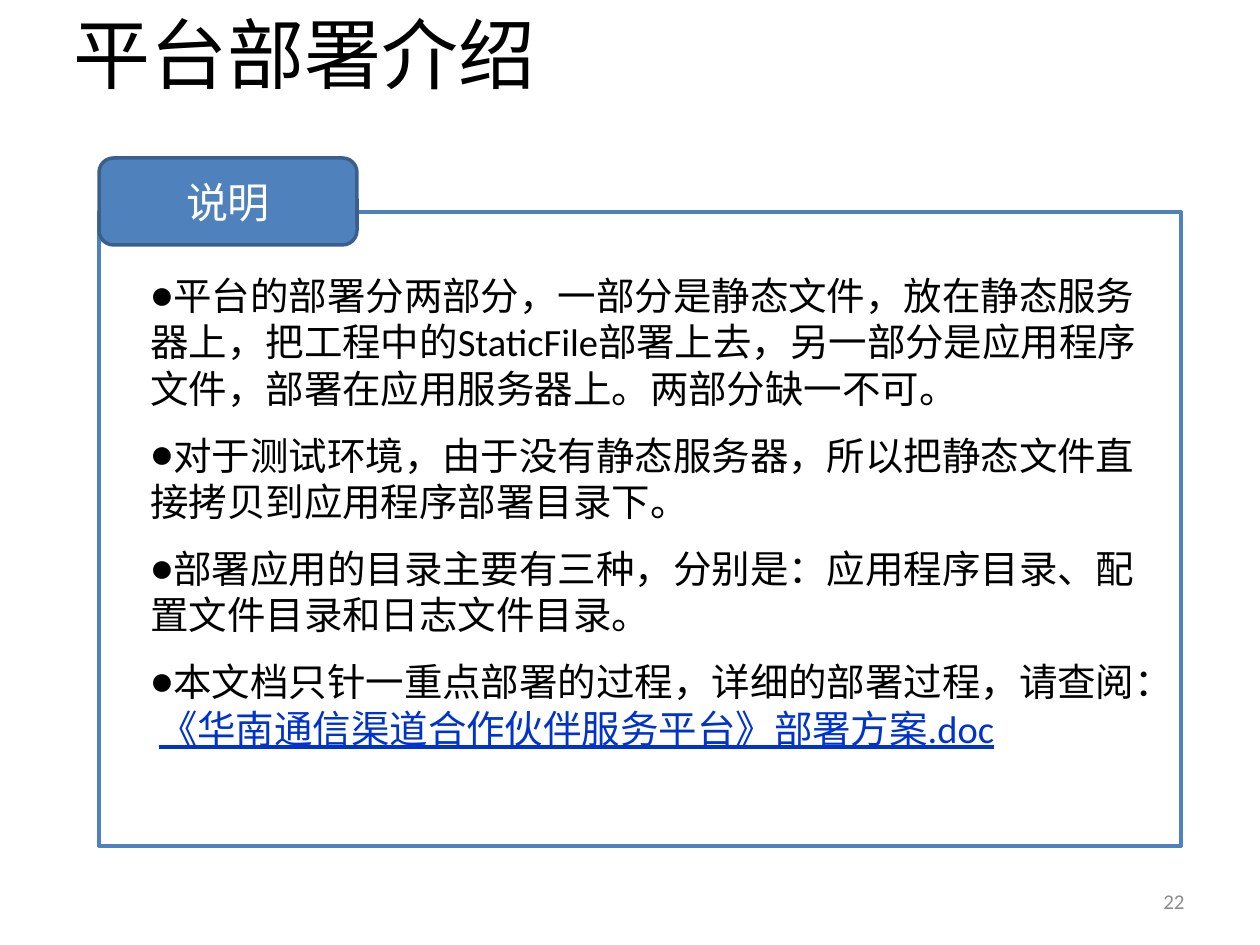
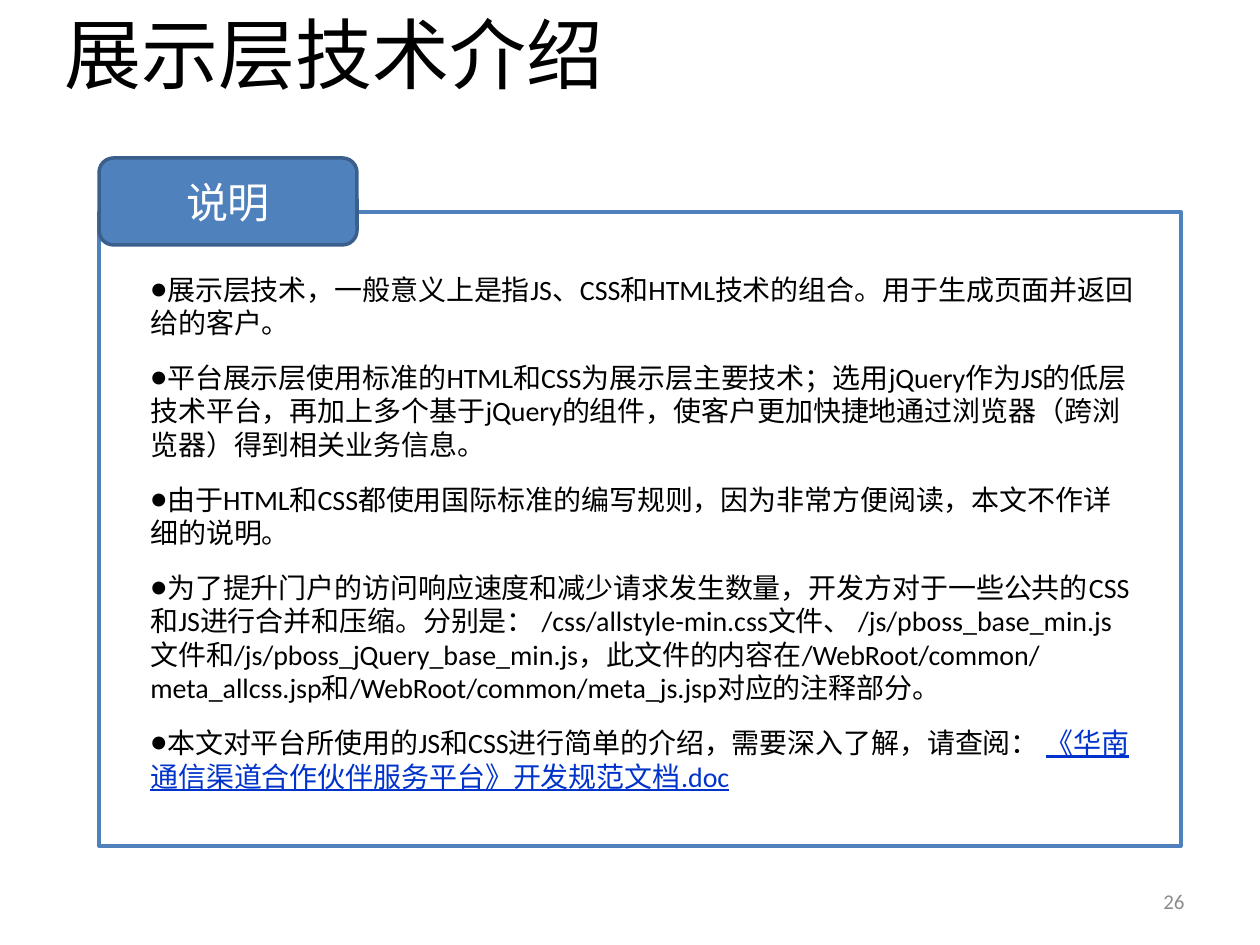
from lxml.etree import SubElement
from pptx import Presentation
from pptx.dml.color import RGBColor
from pptx.enum.shapes import MSO_SHAPE as Shape
from pptx.enum.text import MSO_ANCHOR as Anchor, MSO_AUTO_SIZE as AutoSize, PP_ALIGN as Align
from pptx.oxml.ns import qn
from pptx.util import Emu, Pt

PIXEL = 914400 // 126
BLUE, DARK_BLUE, LINK_BLUE = "4F81BD", "3A5F8C", "0033CC"
BLACK, WHITE, GREY = "000000", "FFFFFF", "8C8C8C"
BODY_FONT, TITLE_FONT = "Calibri", "Noto Sans CJK SC"

DEPLOYMENT = [
    ["平台的部署分两部分，一部分是静态文件，放在静态服务器上，把工程中的StaticFile部署上去，"
     "另一部分是应用程序文件，部署在应用服务器上。两部分缺一不可。"],
    ["对于测试环境，由于没有静态服务器，所以把静态文件直接拷贝到应用程序部署目录下。"],
    ["部署应用的目录主要有三种，分别是：应用程序目录、配置文件目录和日志文件目录。"],
    ["本文档只针一重点部署的过程，详细的部署过程，请查阅： ",
     "《华南通信渠道合作伙伴服务平台》部署方案.doc"],
]
PRESENTATION_LAYER = [
    ["展示层技术，一般意义上是指JS、CSS和HTML技术的组合。用于生成页面并返回给的客户。"],
    ["平台展示层使用标准的HTML和CSS为展示层主要技术；选用jQuery作为JS的低层技术平台，"
     "再加上多个基于jQuery的组件，使客户更加快捷地通过浏览器（跨浏览器）得到相关业务信息。"],
    ["由于HTML和CSS都使用国际标准的编写规则，因为非常方便阅读，本文不作详细的说明。"],
    ["为了提升门户的访问响应速度和减少请求发生数量，开发方对于一些公共的CSS和JS进行合并和压缩。"
     "分别是： /css/allstyle-min.css文件、 /js/pboss_base_min.js文件和"
     "/js/pboss_jQuery_base_min.js，此文件的内容在/WebRoot/common/meta_allcss.jsp和"
     "/WebRoot/common/meta_js.jsp对应的注释部分。 "],
    ["本文对平台所使用的JS和CSS进行简单的介绍，需要深入了解，请查阅： ",
     "《华南通信渠道合作伙伴服务平台》开发规范文档.doc"],
]


def px(*lengths):
    return [Emu(length * PIXEL) for length in lengths]


def color(value):
    return RGBColor.from_string(value)


def add_span(para, text, size, tint, font=BODY_FONT):
    span = para.add_run()
    span.text = text
    span.font.size = Pt(size)
    span.font.name = font
    span.font.color.rgb = color(tint)
    SubElement(span.font._element, qn("a:ea"), typeface=font)
    return span


def add_title(page, text, width):
    title = page.shapes.title
    title.left, title.top, title.width, title.height = px(39, 0, width, 116)
    frame = title.text_frame
    frame.word_wrap = False
    frame.auto_size = AutoSize.NONE
    frame.vertical_anchor = Anchor.TOP
    para = frame.paragraphs[0]
    para.alignment = Align.CENTER
    add_span(para, text, 44, BLACK, TITLE_FONT)


def add_block(group, kind, bounds, fill, line):
    block = group.shapes.add_shape(kind, *px(*bounds))
    block.shadow.inherit = False
    block.fill.solid()
    block.fill.fore_color.rgb = color(fill)
    block.line.color.rgb = color(line)
    block.line.width = Pt(2)
    return block


def add_panel(page, label):
    group = page.shapes.add_group_shape()
    add_block(group, Shape.RECTANGLE, (99, 212, 1082, 634), WHITE, BLUE)
    tab = add_block(group, Shape.ROUNDED_RECTANGLE, (99, 158, 258, 87), BLUE, DARK_BLUE)
    tab.text_frame.vertical_anchor = Anchor.MIDDLE
    para = tab.text_frame.paragraphs[0]
    para.alignment = Align.CENTER
    add_span(para, label, 24, WHITE)


def add_bullets(page, items, size, height):
    box = page.shapes.add_textbox(*px(138, 266, 1014, height))
    frame = box.text_frame
    frame.word_wrap = True
    frame.auto_size = AutoSize.SHAPE_TO_FIT_TEXT
    for index, (text, *links) in enumerate(items):
        para = frame.add_paragraph() if index else frame.paragraphs[0]
        para.space_after = Pt(12)
        properties = para._p.get_or_add_pPr()
        properties.set("marL", "0")
        properties.set("indent", "0")
        SubElement(properties, qn("a:buFont"), typeface=BODY_FONT)
        SubElement(properties, qn("a:buChar"), char="●")
        add_span(para, text, size, BLACK)
        for link in links:
            add_span(para, link, size, LINK_BLUE).font.underline = True


def add_page_number(page, number):
    box = page.shapes.add_textbox(*px(903, 876, 294, 50))
    box.text_frame.word_wrap = True
    box.text_frame.vertical_anchor = Anchor.MIDDLE
    para = box.text_frame.paragraphs[0]
    para.alignment = Align.RIGHT
    add_span(para, str(number), 12, GREY)


def add_page(deck, title, title_width, items, size, height, number):
    page = deck.slides.add_slide(deck.slide_layouts[5])
    add_title(page, title, title_width)
    add_panel(page, "说明")
    add_bullets(page, items, size, height)
    add_page_number(page, number)


def main():
    deck = Presentation()
    deck.slide_width, deck.slide_height = px(1260, 945)
    add_page(deck, "平台部署介绍", 532, DEPLOYMENT, 22, 564, 22)
    add_page(deck, "展示层技术介绍", 591, PRESENTATION_LAYER, 16, 572, 26)
    deck.save("out.pptx")


main()
